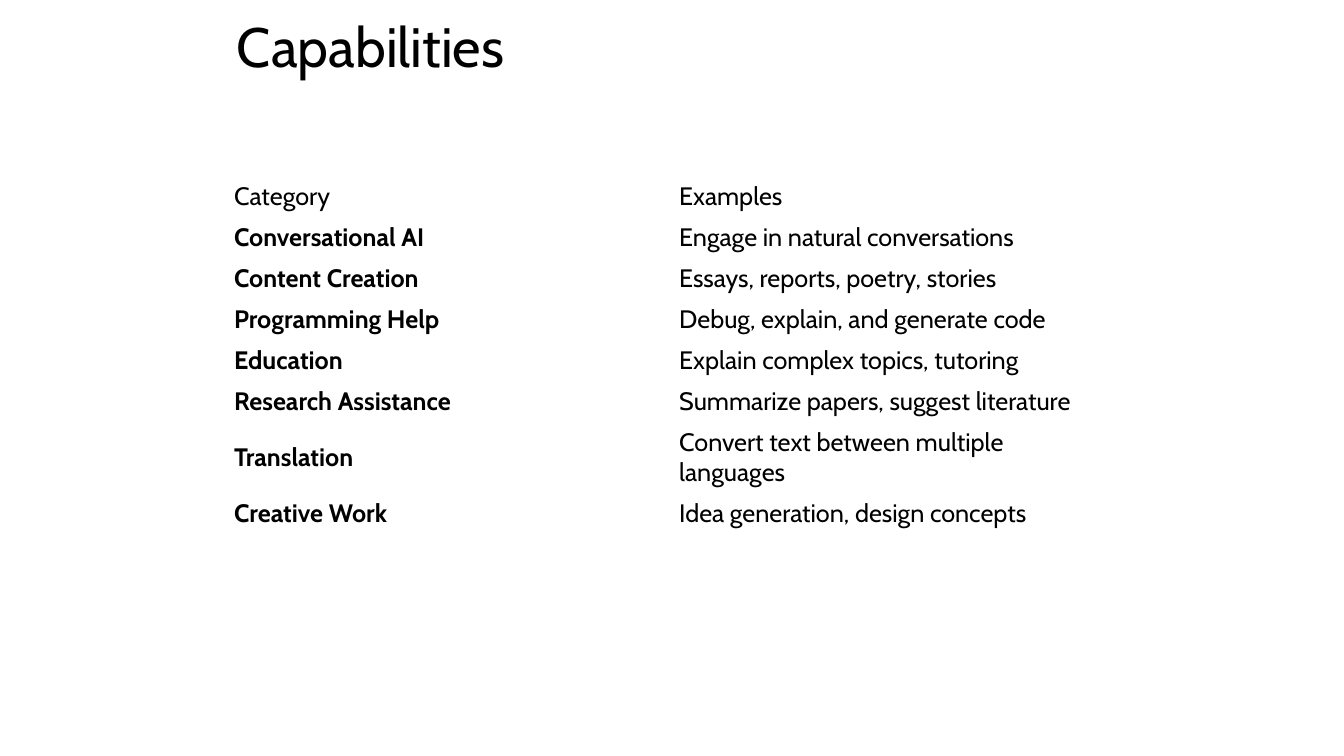
from pptx import Presentation
from pptx.dml.color import RGBColor
from pptx.enum.text import MSO_ANCHOR, PP_ALIGN
from pptx.util import Inches, Pt

MIDDLE = MSO_ANCHOR.MIDDLE
LEFT = PP_ALIGN.LEFT

TITLE = "Capabilities"
ROWS = [
    ("Category", "Examples"),
    ("Conversational AI", "Engage in natural conversations"),
    ("Content Creation", "Essays, reports, poetry, stories"),
    ("Programming Help", "Debug, explain, and generate code"),
    ("Education", "Explain complex topics, tutoring"),
    ("Research Assistance", "Summarize papers, suggest literature"),
    ("Translation", "Convert text between multiple languages"),
    ("Creative Work", "Idea generation, design concepts"),
]
COLORS = {"text": "000000", "back": "FFFFFF"}
FONT = "Cabin"
WIDE, HIGH = 13.33, 7.5
SPAN = 8.83
ROW = 0.4


def style(frame, size, bold=False):
    frame.word_wrap = True
    for para in frame.paragraphs:
        para.alignment = LEFT
        for run in para.runs:
            font = run.font
            font.name = FONT
            font.size = Pt(size)
            font.bold = bold
            font.color.rgb = RGBColor.from_string(COLORS["text"])


def add_title(slide):
    title = slide.shapes.title
    title.left, title.top = Inches(2.25), Inches(0.16)
    title.width, title.height = Inches(SPAN), Inches(0.67)
    frame = title.text_frame
    frame.text = TITLE
    frame.vertical_anchor = MIDDLE
    frame.paragraphs[0].line_spacing = 0.9
    style(frame, 39.6)


def add_grid(slide):
    cols = len(ROWS[0])
    grid = slide.shapes.add_table(
        len(ROWS), cols, Inches(WIDE / 6), Inches(1.75),
        Inches(SPAN), Inches(ROW * len(ROWS))).table
    grid.first_row = False
    grid.horz_banding = False
    for r, row in enumerate(ROWS):
        grid.rows[r].height = Inches(ROW)
        for c, text in enumerate(row):
            cell = grid.cell(r, c)
            cell.text_frame.text = text
            cell.vertical_anchor = MIDDLE
            cell.fill.background()
            style(cell.text_frame, 18, bold=r > 0 and c == 0)


def main():
    deck = Presentation()
    deck.slide_width, deck.slide_height = Inches(WIDE), Inches(HIGH)
    slide = deck.slides.add_slide(deck.slide_layouts[5])
    fill = slide.background.fill
    fill.solid()
    fill.fore_color.rgb = RGBColor.from_string(COLORS["back"])
    add_title(slide)
    add_grid(slide)
    deck.save("out.pptx")


if __name__ == "__main__":
    main()
